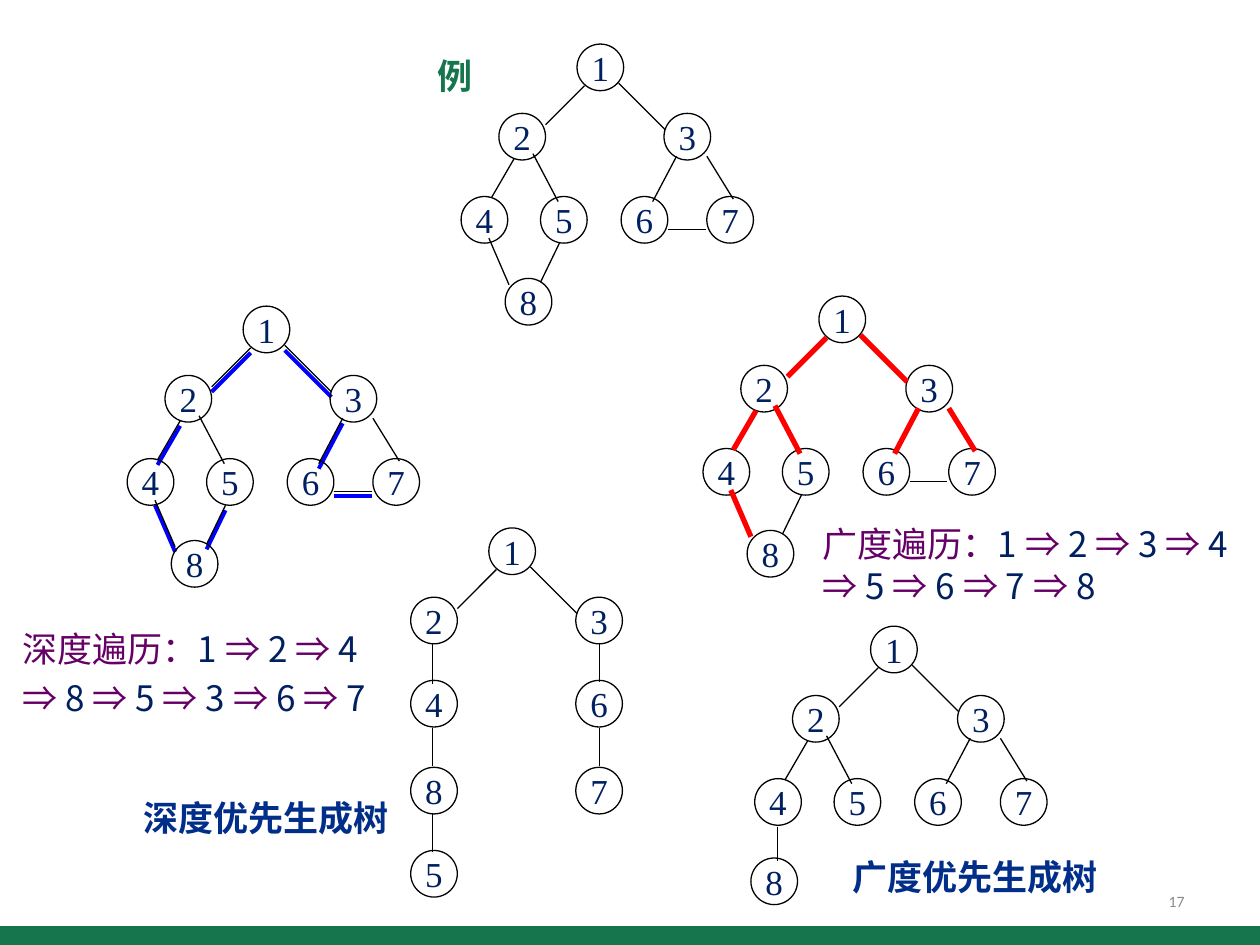
from dataclasses import dataclass

import pptx
import pptx.dml.color
import pptx.enum.shapes
import pptx.enum.text
import pptx.oxml
import pptx.oxml.ns
import pptx.util

Inches = pptx.util.Inches
Pt = pptx.util.Pt
ALIGN = pptx.enum.text.PP_ALIGN
ANCHOR = pptx.enum.text.MSO_ANCHOR
SHAPE = pptx.enum.shapes.MSO_SHAPE


@dataclass(frozen=True)
class Theme:
    green: str = "16754D"
    heading: str = "002E89"
    number: str = "002060"
    arrow: str = "660066"
    page_number: str = "8C8C8C"
    black: str = "000000"
    depth: str = "0000FF"
    breadth: str = "FF0000"
    chinese: str = "Noto Sans CJK SC"
    node_font: str = "Times New Roman"
    small_font: str = "Calibri"
    size: int = 20
    small: int = 9
    thin: float = 0.75
    depth_line: float = 2.25
    breadth_line: float = 3


THEME = Theme()
NODE_SIZE = 0.37

# Node corners and link ends, measured from the corner of root node 1.
GRAPH_NODES = {
    1: (0, 0), 2: (-0.62, 0.55), 3: (0.69, 0.55),
    4: (-0.92, 1.21), 5: (-0.29, 1.21), 6: (0.35, 1.21), 7: (1.03, 1.21),
    8: (-0.57, 1.86),
}
GRAPH_LINKS = {
    (1, 2): (0.06, 0.33, -0.25, 0.64),
    (1, 3): (0.33, 0.31, 0.7, 0.68),
    (2, 4): (-0.5, 0.91, -0.68, 1.22),
    (2, 5): (-0.35, 0.87, -0.15, 1.25),
    (4, 8): (-0.7, 1.54, -0.54, 1.91),
    (5, 8): (-0.14, 1.58, -0.29, 1.89),
    (3, 6): (0.79, 0.89, 0.6, 1.25),
    (6, 7): (0.72, 1.47, 1.02, 1.47),
    (3, 7): (1.03, 0.89, 1.24, 1.23),
}
BREADTH_TREE = [(1, 2), (1, 3), (2, 4), (2, 5), (4, 8), (3, 6), (3, 7)]
DEPTH_TREE = [(1, 2), (1, 3), (2, 4), (4, 8), (5, 8), (3, 6), (6, 7)]

DEPTH_NODES = {
    **{name: GRAPH_NODES[name] for name in (1, 2, 3)},
    4: (-0.62, 1.21), 8: (-0.62, 1.9), 5: (-0.62, 2.56),
    6: (0.69, 1.21), 7: (0.69, 1.9),
}
DEPTH_LINKS = {
    **{pair: GRAPH_LINKS[pair] for pair in ((1, 2), (1, 3))},
    (2, 4): (-0.45, 0.91, -0.45, 1.24),
    (4, 8): (-0.45, 1.59, -0.45, 1.89),
    (8, 5): (-0.45, 2.26, -0.45, 2.57),
    (3, 6): (0.88, 0.91, 0.88, 1.22),
    (6, 7): (0.88, 1.59, 0.88, 1.89),
}
BREADTH_NODES = {**GRAPH_NODES, 8: (-0.95, 1.84)}
BREADTH_LINKS = {
    **{pair: GRAPH_LINKS[pair] for pair in BREADTH_TREE},
    (4, 8): (-0.74, 1.59, -0.74, 1.86),
}


def color(value):
    return pptx.dml.color.RGBColor.from_string(value)


def add_span(para, text, ink, font=THEME.chinese, size=THEME.size, bold=False):
    span = para.add_run()
    span.text = text
    span.font.name = font
    span.font.size = Pt(size)
    span.font.bold = bold
    span.font.color.rgb = color(ink)
    east_asian = pptx.oxml.parse_xml(
        f'<a:ea {pptx.oxml.ns.nsdecls("a")} typeface="{font}"/>')
    span.font._element.append(east_asian)


def add_box(shapes, left, top, width, height, anchor=ANCHOR.MIDDLE, wrap=True):
    box = shapes.add_textbox(*map(Inches, (left, top, width, height)))
    box.text_frame.word_wrap = wrap
    box.text_frame.vertical_anchor = anchor
    return box


def add_title(shapes, left, top, width, text, ink):
    box = add_box(shapes, left, top, width, 0.44, wrap=False)
    para = box.text_frame.paragraphs[0]
    para.alignment = ALIGN.CENTER
    add_span(para, text, ink, bold=True)


def add_node(shapes, left, top, name):
    node = shapes.add_shape(SHAPE.OVAL, Inches(left), Inches(top),
                            Inches(NODE_SIZE), Inches(NODE_SIZE))
    node.shadow.inherit = False
    node.fill.background()
    node.line.color.rgb = color(THEME.black)
    node.line.width = Pt(THEME.thin)
    frame = node.text_frame
    frame.word_wrap = False
    frame.vertical_anchor = ANCHOR.MIDDLE
    frame.margin_left = frame.margin_right = 0
    para = frame.paragraphs[0]
    para.alignment = ALIGN.CENTER
    add_span(para, str(name), THEME.number, THEME.node_font)


def add_link(shapes, root, ends, ink=THEME.black, width=THEME.thin, drop=0):
    left, top = root[0], root[1] + drop
    start_x, start_y, end_x, end_y = ends
    link = shapes.add_connector(
        pptx.enum.shapes.MSO_CONNECTOR.STRAIGHT,
        Inches(left + start_x), Inches(top + start_y),
        Inches(left + end_x), Inches(top + end_y))
    link.line.color.rgb = color(ink)
    link.line.width = Pt(width)
    link._element.spPr.append(
        pptx.oxml.parse_xml(f'<a:effectLst {pptx.oxml.ns.nsdecls("a")}/>'))


def add_graph(shapes, root, nodes, links, marked=()):
    """Draw nodes and links; marked pairs get the breadth-first colour."""
    for name, (across, down) in nodes.items():
        add_node(shapes, root[0] + across, root[1] + down, name)
    for pair, ends in links.items():
        if pair in marked:
            add_link(shapes, root, ends, THEME.breadth, THEME.breadth_line)
        else:
            add_link(shapes, root, ends)


def add_traversal(para, text):
    """Add the steps one by one, arrows and numbers in their own colours."""
    for step in text.split():
        ink = THEME.number if step.isdigit() else THEME.arrow
        gap = "" if step.endswith("：") else " "
        add_span(para, step + gap, ink)


def add_traversal_box(shapes, place, lines, spacing, anchor):
    frame = add_box(shapes, *place, anchor=anchor).text_frame
    for index, text in enumerate(lines):
        para = frame.add_paragraph() if index else frame.paragraphs[0]
        para.line_spacing = Pt(spacing)
        add_traversal(para, text)


def add_footer(shapes):
    band = shapes.add_shape(SHAPE.RECTANGLE, 0, Inches(7.35), Inches(10), Inches(0.15))
    band.shadow.inherit = False
    band.fill.solid()
    band.fill.fore_color.rgb = color(THEME.green)
    band.line.fill.background()
    para = add_box(shapes, 7.17, 6.95, 2.33, 0.4).text_frame.paragraphs[0]
    para.alignment = ALIGN.RIGHT
    add_span(para, "17", THEME.page_number, THEME.small_font, THEME.small)


def main():
    deck = pptx.Presentation()
    deck.slide_width, deck.slide_height = Inches(10), Inches(7.5)
    page = deck.slides.add_slide(deck.slide_layouts[6])
    add_footer(page.shapes)

    example = page.shapes.add_group_shape().shapes
    add_graph(example, (4.58, 0.35), GRAPH_NODES, GRAPH_LINKS)
    add_title(example, 3.37, 0.38, 0.48, "例", THEME.green)

    add_traversal_box(page.shapes, (0.08, 4.76, 3.14, 1.11),
                      ["深度遍历： 1 ⇒ 2 ⇒ 4", "⇒ 8 ⇒ 5 ⇒ 3 ⇒ 6 ⇒ 7"],
                      28, ANCHOR.MIDDLE)

    depth_tree = page.shapes.add_group_shape().shapes
    add_graph(depth_tree, (3.88, 4.19), DEPTH_NODES, DEPTH_LINKS)
    add_title(depth_tree, 1.02, 6.27, 2.18, "深度优先生成树", THEME.heading)

    breadth_tree = page.shapes.add_group_shape().shapes
    add_graph(breadth_tree, (6.91, 4.97), BREADTH_NODES, BREADTH_LINKS)
    add_title(breadth_tree, 6.65, 6.74, 2.18, "广度优先生成树", THEME.heading)

    breadth_graph = page.shapes.add_group_shape().shapes
    add_graph(breadth_graph, (6.5, 2.35), GRAPH_NODES, GRAPH_LINKS, BREADTH_TREE)

    depth_graph = page.shapes.add_group_shape().shapes
    depth_root = (1.93, 2.43)
    for pair in DEPTH_TREE:
        add_link(depth_graph, depth_root, GRAPH_LINKS[pair],
                 THEME.depth, THEME.depth_line, drop=0.04)
    add_graph(depth_graph, depth_root, GRAPH_NODES, GRAPH_LINKS)

    add_traversal_box(page.shapes, (6.43, 4.1, 3.57, 0.77),
                      ["广度遍历： 1 ⇒ 2 ⇒ 3 ⇒ 4 ⇒ 5 ⇒ 6 ⇒ 7 ⇒ 8"],
                      24, ANCHOR.TOP)
    deck.save("out.pptx")


if __name__ == "__main__":
    main()
